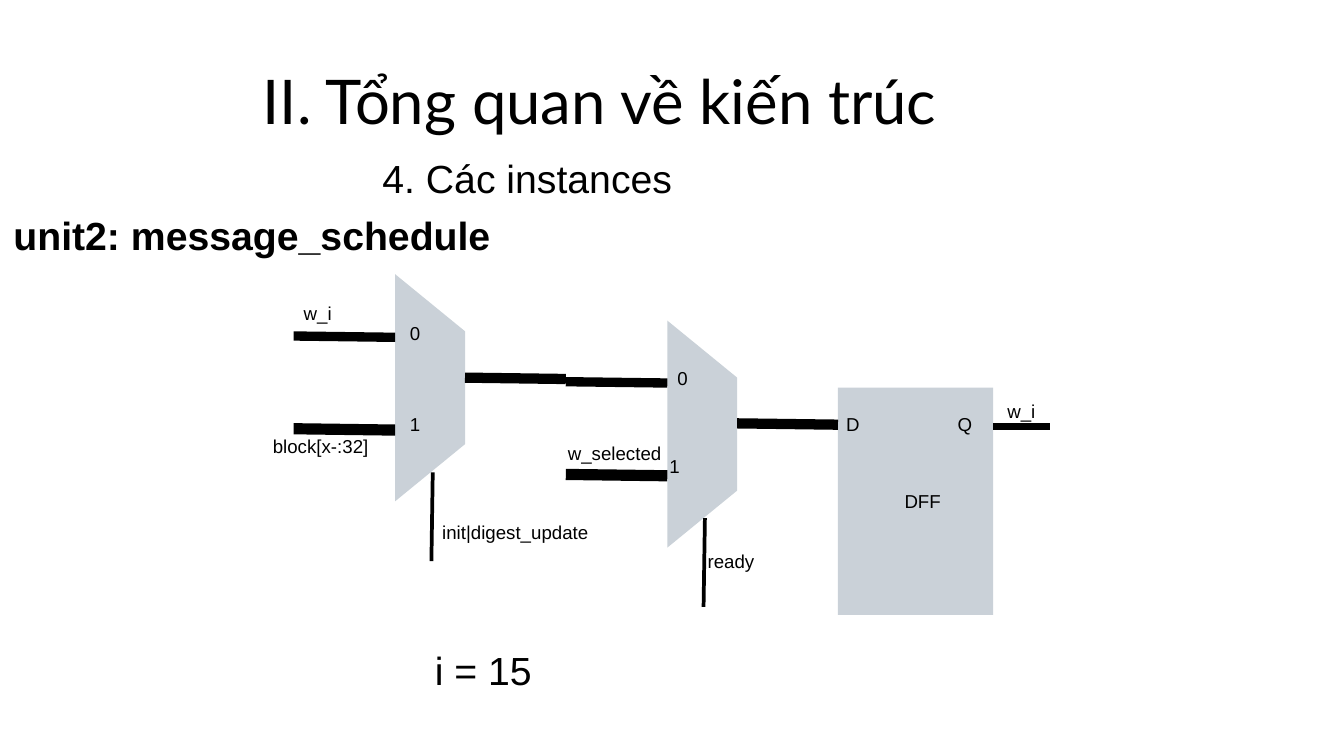
from pptx import Presentation
from pptx.dml.color import RGBColor
from pptx.enum.shapes import MSO_CONNECTOR, MSO_SHAPE
from pptx.enum.text import MSO_ANCHOR, MSO_AUTO_SIZE, PP_ALIGN
from pptx.oxml.ns import qn
from pptx.util import Inches, Pt
from lxml import etree

BLACK, GREY = "000000", "CAD1D8"


def rgb(value):
    return RGBColor.from_string(value)


def write(shape, text, size, spacing, font="Arial", bold=False, anchor=MSO_ANCHOR.TOP):
    """Put one left-aligned line of text in a shape without margins."""
    tf = shape.text_frame
    tf.word_wrap = True
    tf.auto_size = MSO_AUTO_SIZE.NONE
    tf.vertical_anchor = anchor
    tf.margin_left = tf.margin_right = tf.margin_top = tf.margin_bottom = 0
    p = tf.paragraphs[0]
    p.alignment = PP_ALIGN.LEFT
    p.line_spacing = Pt(spacing)
    p.space_before = Pt(0)
    r = p.add_run()
    r.text = text
    r.font.name = font
    r.font.size = Pt(size)
    r.font.bold = bold
    r.font.color.rgb = rgb(BLACK)


prs = Presentation()
prs.slide_width, prs.slide_height = Inches(20), Inches(11.25)
s = prs.slides.add_slide(prs.slide_layouts[5])

# Title and headings
title = s.shapes.title
title.left, title.top = Inches(3.91), Inches(0.88)
title.width, title.height = Inches(16.38), Inches(1.31)
write(title, "II. Tổng quan về kiến trúc", 66, 71.3, "Lato", anchor=MSO_ANCHOR.MIDDLE)

headings = [
    ("4. Các instances", 5.69, 2.37, 8.62, False),
    ("unit2: message_schedule", 0.2, 3.22, 17.09, True),
    ("i = 15", 6.47, 9.69, 8.62, False),
]
for text, x, y, w, bold in headings:
    box = s.shapes.add_textbox(Inches(x), Inches(y), Inches(w), Inches(0.86))
    write(box, text, 42, 45.4, bold=bold)

# Multiplexers and flip-flop
blocks = []
for x, y in [(5.88, 4.08), (9.93, 4.77)]:
    corners = [(x + 1.04, y + 0.85), (x + 1.04, y + 2.53), (x, y + 3.38)]
    outline = s.shapes.build_freeform(Inches(x), Inches(y))
    outline.add_line_segments([(Inches(cx), Inches(cy)) for cx, cy in corners], close=True)
    blocks.append(outline.convert_to_shape())
blocks.append(s.shapes.add_shape(
    MSO_SHAPE.RECTANGLE, Inches(12.47), Inches(5.77), Inches(2.31), Inches(3.38)))
for block in blocks:
    block.shadow.inherit = False
    block.fill.solid()
    block.fill.fore_color.rgb = rgb(GREY)
    block.line.fill.background()

# Wires: start x, start y, end x, end y, width
wires = [(14.78, 6.35, 15.63, 6.35, 8)]
for x, y in [(4.37, 5), (8.42, 5.68)]:
    wires += [
        (x, y, x + 1.51, y + 0.02, 10),
        (x, y + 1.38, x + 1.51, y + 1.4, 12),
        (x + 2.55, y + 0.62, x + 4.05, y + 0.64, 11),
        (x + 2.07, y + 2.03, x + 2.05, y + 3.35, 4),
    ]
for x1, y1, x2, y2, width in wires:
    wire = s.shapes.add_connector(
        MSO_CONNECTOR.STRAIGHT, Inches(x1), Inches(y1), Inches(x2), Inches(y2))
    wire.line.color.rgb = rgb(BLACK)
    wire.line.width = Pt(width)
    etree.SubElement(wire._element.spPr, qn("a:effectLst"))

# Signal and pin labels
labels = [
    ("w_i", 4.52, 4.53), ("block[x-:32]", 4.06, 6.51),
    ("0", 6.1, 4.82), ("1", 6.1, 6.18), ("init|digest_update", 6.58, 7.78),
    ("w_selected", 8.45, 6.61), ("0", 10.08, 5.49), ("1", 9.96, 6.8),
    ("ready", 10.53, 8.21), ("D", 12.59, 6.18), ("Q", 14.25, 6.18),
    ("DFF", 13.46, 7.33), ("w_i", 14.99, 5.98),
]
for text, x, y in labels:
    box = s.shapes.add_textbox(Inches(x), Inches(y), Inches(2.51), Inches(0.7))
    write(box, text, 20, 21.6)

prs.save("out.pptx")
